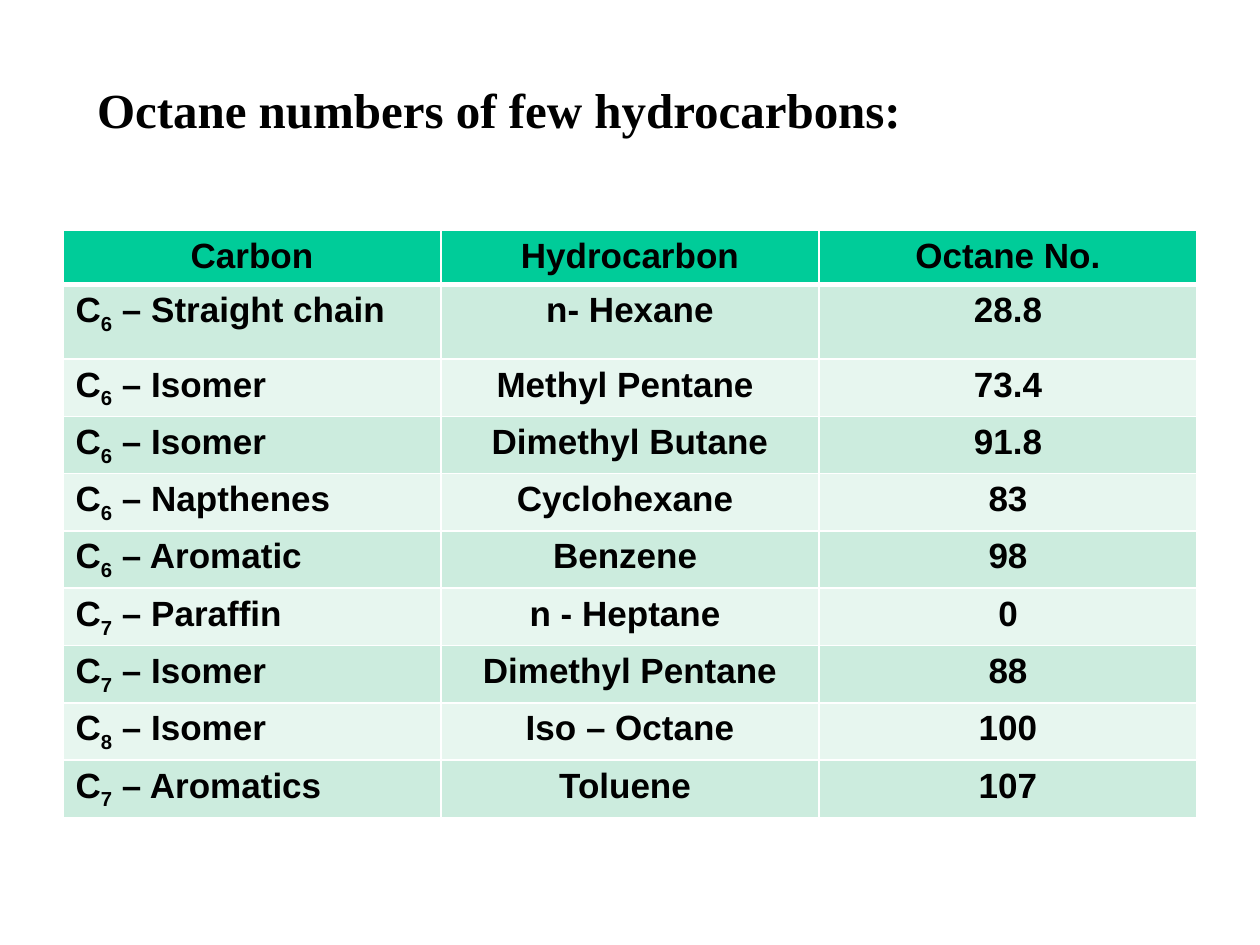
from typing import NamedTuple

from lxml.etree import SubElement
from pptx import Presentation
from pptx.dml.color import RGBColor
from pptx.enum.text import MSO_AUTO_SIZE, PP_ALIGN
from pptx.oxml.ns import qn
from pptx.slide import Slide
from pptx.table import _Cell
from pptx.util import Inches, Pt

COLORS = {
    "text": "000000",
    "border": "FFFFFF",
    "header": "00CC99",
    "odd_row": "CCECDE",
    "even_row": "E7F6EF",
}
ROW_HEIGHT = Inches(0.43)
FIRST_ROW_HEIGHT = Inches(0.59)


class Hydrocarbon(NamedTuple):
    carbons: str
    family: str
    name: str
    octane: str


HEADINGS = ("Carbon", "Hydrocarbon", "Octane No.")
HYDROCARBONS = (
    Hydrocarbon("6", "Straight chain", "n- Hexane", "28.8"),
    Hydrocarbon("6", "Isomer", "Methyl Pentane ", "73.4"),
    Hydrocarbon("6", "Isomer", "Dimethyl Butane", "91.8"),
    Hydrocarbon("6", "Napthenes", "Cyclohexane ", "83"),
    Hydrocarbon("6", "Aromatic", "Benzene ", "98"),
    Hydrocarbon("7", "Paraffin", "n - Heptane ", "0"),
    Hydrocarbon("7", "Isomer", "Dimethyl Pentane", "88"),
    Hydrocarbon("8", "Isomer", "Iso – Octane", "100"),
    Hydrocarbon("7", "Aromatics", "Toluene ", "107"),
)


def rgb(role: str) -> RGBColor:
    return RGBColor.from_string(COLORS[role])


def add_borders(cell: _Cell, bottom: float) -> None:
    properties = cell._tc.get_or_add_tcPr()
    for side, width in (("L", 1), ("R", 1), ("T", 1), ("B", bottom)):
        line = SubElement(properties, qn(f"a:ln{side}"), w=str(Pt(width)))
        fill = SubElement(line, qn("a:solidFill"))
        SubElement(fill, qn("a:srgbClr"), val=COLORS["border"])


def write_cell(cell: _Cell, parts: tuple[str, ...], fill: str,
               align: PP_ALIGN = PP_ALIGN.CENTER, bottom: float = 1) -> None:
    add_borders(cell, bottom)
    cell.fill.solid()
    cell.fill.fore_color.rgb = rgb(fill)
    paragraph = cell.text_frame.paragraphs[0]
    paragraph.alignment = align
    paragraph.font.name = "Arial"
    paragraph.font.size = Pt(20)
    paragraph.font.bold = True
    paragraph.font.color.rgb = rgb("text")
    for position, part in enumerate(parts):
        run = paragraph.add_run()
        run.text = part
        run.font.bold = True
        run.font.color.rgb = rgb("text")
        if position == 1:
            run.font._element.set("baseline", "-25000")


def add_octane_table(slide: Slide) -> None:
    height = ROW_HEIGHT * len(HYDROCARBONS) + FIRST_ROW_HEIGHT
    table = slide.shapes.add_table(
        len(HYDROCARBONS) + 1, len(HEADINGS),
        Inches(0.5), Inches(1.83), Inches(9), height).table
    for row in table.rows:
        row.height = ROW_HEIGHT
    table.rows[1].height = FIRST_ROW_HEIGHT
    for column, heading in enumerate(HEADINGS):
        write_cell(table.cell(0, column), (heading,), "header", bottom=3)
    for row, item in enumerate(HYDROCARBONS, start=1):
        fill = "odd_row" if row % 2 else "even_row"
        formula = ("C", item.carbons, f" – {item.family}")
        write_cell(table.cell(row, 0), formula, fill, PP_ALIGN.LEFT)
        write_cell(table.cell(row, 1), (item.name,), fill)
        write_cell(table.cell(row, 2), (item.octane,), fill)


def add_title(slide: Slide) -> None:
    frame = slide.shapes.add_textbox(
        Inches(0.58), Inches(0.58), Inches(8.67), Inches(0.57)).text_frame
    frame.word_wrap = True
    frame.auto_size = MSO_AUTO_SIZE.SHAPE_TO_FIT_TEXT
    paragraph = frame.paragraphs[0]
    paragraph.font.color.rgb = rgb("text")
    for text, font, size, bold in (
        (" ", "Arial", 24, False),
        ("Octane numbers of few hydrocarbons:", "Times New Roman", 28, True),
    ):
        run = paragraph.add_run()
        run.text = text
        run.font.name = font
        run.font.size = Pt(size)
        run.font.bold = bold


def main() -> None:
    presentation = Presentation()
    presentation.slide_width = Inches(10)
    presentation.slide_height = Inches(7.5)
    slide = presentation.slides.add_slide(presentation.slide_layouts[6])
    add_octane_table(slide)
    add_title(slide)
    presentation.save("out.pptx")


if __name__ == "__main__":
    main()
